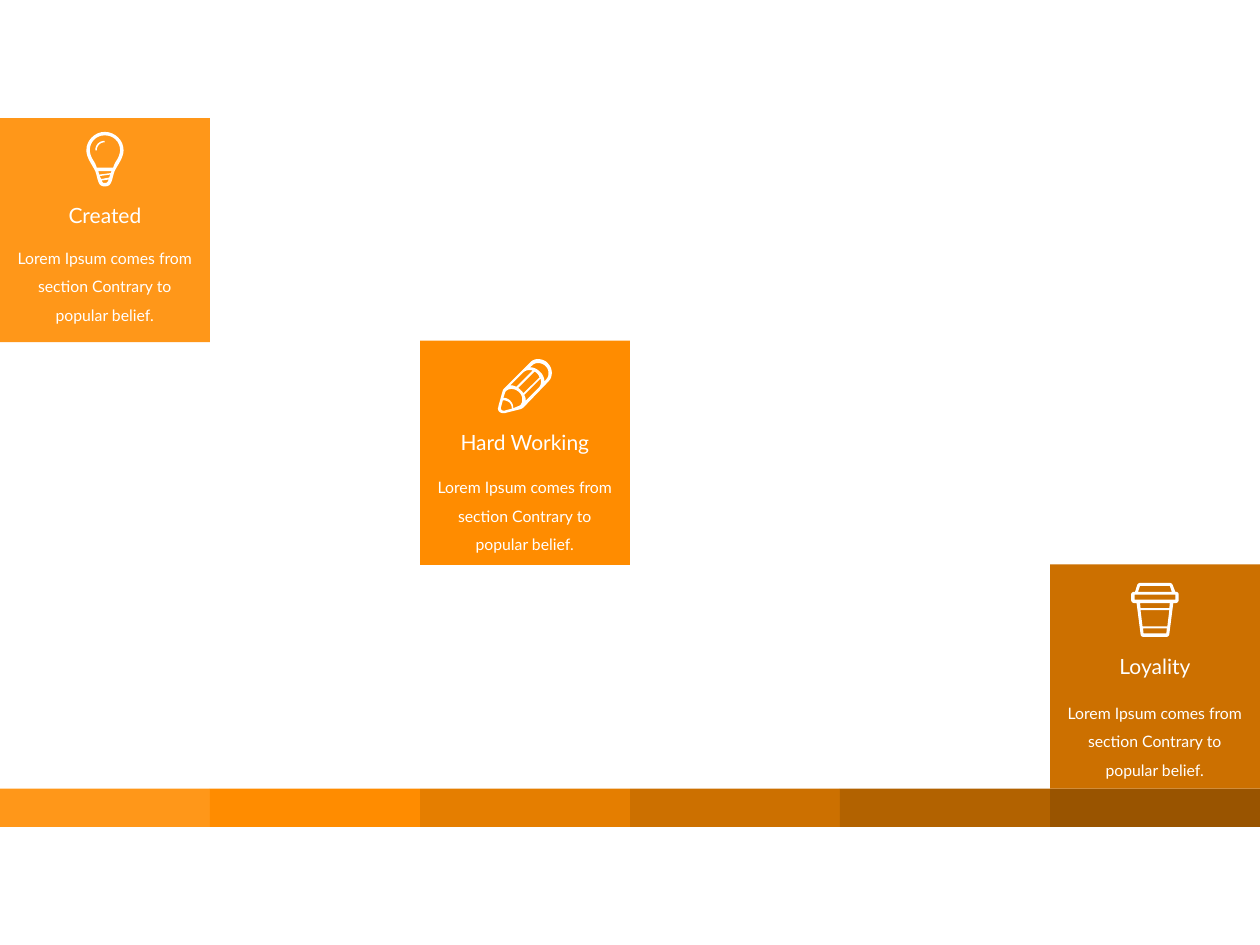
from pptx import Presentation
from pptx import util as u
from pptx.dml.color import RGBColor
from pptx.enum import shapes, text

WHITE = RGBColor(0xFF, 0xFF, 0xFF)
AMBER = RGBColor(0xFF, 0x97, 0x19)
ORANGE = RGBColor(0xFF, 0x8C, 0x00)
TANGERINE = RGBColor(0xE5, 0x7E, 0x00)
OCHRE = RGBColor(0xCC, 0x70, 0x00)
RUST = RGBColor(0xB2, 0x62, 0x00)
BROWN = RGBColor(0x99, 0x54, 0x00)
STEPS = [AMBER, ORANGE, TANGERINE, OCHRE, RUST, BROWN]

FONT = "Lato"
BODY = "Lorem Ipsum comes from section Contrary to popular belief."
SLIDE_W, SLIDE_H = 25.4, 19.05
STEP_W = SLIDE_W / len(STEPS)
CARD_H = 4.52

BULB = [
    [
        [(.37, 0), (.17, 0, 0, .17, 0, .37), (0, .52, .11, .65, .18, .79),
         (.24, .95, .22, 1.1, .37, 1.1), (.53, 1.1, .51, .95, .57, .79),
         (.64, .65, .75, .52, .75, .37), (.75, .17, .58, 0, .37, 0)],
        [(.21, .72), (.19, .66, .17, .62, .15, .59), (.1, .52, .07, .43, .07, .37),
         (.07, .2, .2, .07, .37, .07), (.55, .07, .68, .2, .68, .37),
         (.68, .43, .65, .52, .6, .59), (.58, .62, .56, .66, .54, .72)],
        [(.24, .79), (.51, .79), (.49, .83), (.26, .86)],
        [(.27, .89), (.48, .86), (.46, .92), (.3, .95)],
        [(.31, .98), (.45, .96), (.43, 1.03, .4, 1.03, .37, 1.03),
         (.34, 1.03, .33, 1.03, .31, .98)],
    ],
    [
        [(.37, .18), (.26, .18, .18, .26, .18, .37), (.21, .37),
         (.21, .28, .28, .21, .37, .21)],
    ],
]
PENCIL = [
    [
        [(1.02, .1), (.97, .03, .88, 0, .81, 0), (.75, 0, .69, .02, .65, .07),
         (.14, .58), (.1, .61, .1, .63, .09, .66), (.01, .95),
         (.01, .97, 0, .99, 0, 1), (0, 1.05, .05, 1.09, .1, 1.09),
         (.13, 1.09, .15, 1.09, .17, 1.08), (.45, 1.01),
         (.48, 1, .5, .99, .51, .98), (1.02, .45), (1.11, .36, 1.11, .2, 1.02, .1)],
        [(.56, .81), (.56, .79, .55, .76, .53, .72), (.86, .39),
         (.88, .46, .87, .53, .82, .58), (.56, .84)],
        [(.51, .69), (.5, .66, .48, .64, .46, .63), (.45, .61, .43, .6, .41, .58),
         (.74, .25), (.77, .27, .79, .29, .8, .3), (.82, .32, .83, .35, .84, .37)],
        [(.28, .53), (.3, .53, .33, .54, .37, .56), (.7, .23),
         (.63, .21, .56, .22, .51, .27), (.25, .53)],
        [(.16, 1.03), (.15, 1.04, .13, 1.04, .12, 1.04), (.08, 1.04, .06, 1.02, .06, .98),
         (.1, .83), (.15, .83, .2, .85, .24, .88), (.27, .92, .28, .96, .28, 1)],
        [(.31, .99), (.31, .93, .29, .88, .25, .84), (.21, .8, .16, .78, .11, .78),
         (.15, .66), (.16, .65, .17, .64, .18, .63), (.25, .58, .36, .6, .43, .67),
         (.5, .74, .51, .84, .46, .92), (.45, .93, .45, .93, .43, .94)],
        [(.98, .4), (.94, .45), (.93, .36, .9, .3, .84, .25),
         (.78, .19, .71, .16, .64, .17), (.7, .12), (.73, .09, .77, .08, .81, .08),
         (.86, .08, .92, .1, .96, .14), (1, .18, 1.02, .23, 1.02, .28),
         (1.02, .33, 1.01, .37, .98, .4)],
    ],
]
CUP = [
    [
        [(.89, .18), (.84, .05), (.83, .02, .8, 0, .77, 0), (.19, 0),
         (.16, 0, .13, .02, .12, .05), (.08, .18), (.03, .18, 0, .2, 0, .24),
         (0, .34), (0, .38, .03, .41, .07, .41), (.11, .41), (.19, 1.03),
         (.19, 1.07, .22, 1.09, .25, 1.09), (.71, 1.09),
         (.74, 1.09, .77, 1.07, .77, 1.03), (.85, .41), (.89, .41),
         (.93, .41, .96, .38, .96, .34), (.96, .24), (.96, .2, .93, .18, .89, .18)],
        [(.18, .06), (.78, .06), (.82, .18), (.14, .18)],
        [(.07, .24), (.89, .24), (.89, .34), (.07, .34)],
        [(.18, .41), (.78, .41), (.77, .51), (.19, .51)],
        [(.19, .55), (.77, .55), (.73, .88), (.23, .88)],
        [(.24, .92), (.72, .92), (.71, 1.02), (.25, 1.02)],
    ],
]


def paint(sp, color):
    """Give a shape a flat fill without outline or shadow."""
    sp.shadow.inherit = False
    sp.fill.solid()
    sp.fill.fore_color.rgb = color
    sp.line.fill.background()


def add_block(s, x, y, w, h, color):
    """Place a plain rectangle."""
    sp = s.shapes.add_shape(shapes.MSO_SHAPE.RECTANGLE, u.Cm(x), u.Cm(y), u.Cm(w), u.Cm(h))
    paint(sp, color)


def trace(outline, steps=8):
    """Turn line and cubic segments into a list of points."""
    points = [outline[0]]
    for segment in outline[1:]:
        if len(segment) == 2:
            points.append(segment)
            continue
        x0, y0 = points[-1]
        x1, y1, x2, y2, x3, y3 = segment
        for i in range(1, steps + 1):
            t = i / steps
            a, b, c, d = (1 - t) ** 3, 3 * t * (1 - t) ** 2, 3 * t * t * (1 - t), t ** 3
            points.append((a * x0 + b * x1 + c * x2 + d * x3,
                           a * y0 + b * y1 + c * y2 + d * y3))
    return [(u.Cm(x), u.Cm(y)) for x, y in points]


def add_icon(s, x, y, parts):
    """Draw white icon parts, whose inner outlines are holes."""
    for outlines in parts:
        traced = [trace(outline) for outline in outlines]
        builder = s.shapes.build_freeform(*traced[0][0])
        for i, points in enumerate(traced):
            if i:
                builder.move_to(*points[0])
            builder.add_line_segments(points[1:], close=True)
        paint(builder.convert_to_shape(u.Cm(x), u.Cm(y)), WHITE)


def add_label(s, x, y, w, h, words, size, wrap, spacing):
    """Place a centred white text box."""
    tf = s.shapes.add_textbox(u.Cm(x), u.Cm(y), u.Cm(w), u.Cm(h)).text_frame
    tf.word_wrap = wrap
    tf.auto_size = text.MSO_AUTO_SIZE.SHAPE_TO_FIT_TEXT
    p = tf.paragraphs[0]
    p.text = words
    p.alignment = text.PP_ALIGN.CENTER
    p.line_spacing = spacing
    p.font.name = FONT
    p.font.size = u.Pt(size)
    p.font.color.rgb = WHITE


def add_card(s, x, y, color, icon, icon_w, title, title_w, offsets):
    """Place a card with icon, title and body at the given vertical offsets."""
    icon_dy, title_dy, body_dy = offsets
    add_block(s, x, y, STEP_W, CARD_H, color)
    add_icon(s, x + (STEP_W - icon_w) / 2, y + icon_dy, icon)
    add_label(s, x + (STEP_W - title_w) / 2, y + title_dy, title_w, .77, title, 12, False, 1.0)
    add_label(s, x + .01, y + body_dy, 4.2, 1.98, BODY, 9, True, 1.5)


def add_step_bar(s, y, h):
    """Place the row of equal colour steps across the slide."""
    for i, color in enumerate(STEPS):
        add_block(s, i * STEP_W, y, STEP_W, h, color)


def main():
    """Build and save the slide."""
    prs = Presentation()
    prs.slide_width, prs.slide_height = u.Cm(SLIDE_W), u.Cm(SLIDE_H)
    s = prs.slides.add_slide(prs.slide_layouts[6])
    add_step_bar(s, 15.9, .77)
    add_card(s, 0, 2.38, AMBER, BULB, .75, "Created", 2, (.28, 1.58, 2.32))
    add_card(s, 2 * STEP_W, 6.87, ORANGE, PENCIL, 1.09, "Hard Working", 3.18, (.37, 1.66, 2.45))
    add_card(s, 5 * STEP_W, 11.38, OCHRE, CUP, .96, "Loyality", 1.98, (.37, 1.67, 2.49))
    prs.save("out.pptx")


if __name__ == "__main__":
    main()
